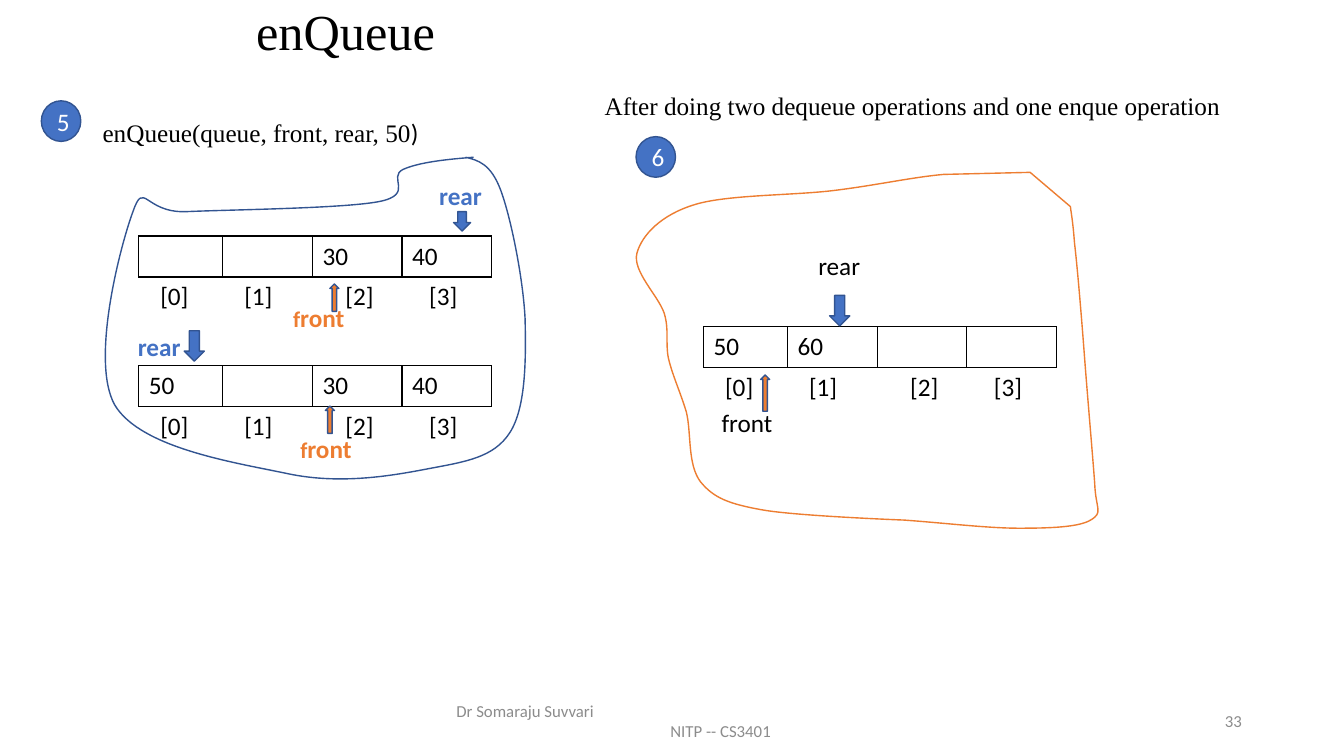
from dataclasses import dataclass

from lxml.etree import SubElement
from pptx import Presentation
from pptx.dml.color import RGBColor
from pptx.enum.shapes import MSO_SHAPE as SHAPE
from pptx.enum.text import MSO_ANCHOR as ANCHOR, MSO_AUTO_SIZE as AUTO, PP_ALIGN as ALIGN
from pptx.oxml.ns import qn
from pptx.util import Pt

BLACK, WHITE = RGBColor(0x00, 0x00, 0x00), RGBColor(0xFF, 0xFF, 0xFF)
BLUE, NAVY = RGBColor(0x44, 0x72, 0xC4), RGBColor(0x32, 0x54, 0x91)
ORANGE, GRAY = RGBColor(0xED, 0x7D, 0x31), RGBColor(0x8C, 0x8C, 0x8C)
SERIF, SANS = "Times New Roman", "Calibri"
NO_STYLE = "{2D5ABB26-0587-4C30-8999-92F81FD0307C}"
COL_WIDTHS, ROW_HEIGHT = (60, 64, 64, 64), 29.2
INDEX_MARGINS = (15.3, 15.3, 23.5, 19.4)

@dataclass
class Run:
    text: str
    size: float = 18
    font: str = SANS
    color: RGBColor = BLACK
    bold: bool = False

@dataclass
class Label:
    left: float
    top: float
    width: float
    runs: list[Run]
    align: ALIGN = ALIGN.LEFT
    anchor: ANCHOR = ANCHOR.TOP
    hanging: float = 0

@dataclass
class Marker:
    kind: SHAPE
    box: tuple[float, ...]
    fill: RGBColor
    text: str = ""

@dataclass
class Queue:
    left: float
    top: float
    values: tuple[str, ...]

@dataclass
class Outline:
    """Straight points first, then curves of two handles and an end point."""
    box: tuple[float, ...]
    points: list[tuple]
    curves: list[tuple]
    line: RGBColor
    fill: RGBColor | None = None

def rear(left: float, top: float) -> Label:
    return Label(left, top, 69, [Run("rear", color=BLUE, bold=True)])

def front(left: float, top: float, width: float) -> Label:
    return Label(left, top, width, [Run("f", 16, SANS, ORANGE, True),
                                    Run("ront", 18, SANS, ORANGE, True)])

OUTLINES = [
    Outline((454.3, 123.1, 329.8, 253.4), [(764.6, 147.6), (735.8, 123.1), (673.9, 124.6)], [
        (650.9, 126.7, 625, 132.5, 595.4, 136.1), (565.9, 139.7, 519.1, 139, 496.1, 146.2),
        (472.3, 153.4, 458.6, 167.8, 455, 180.7), (451.4, 193.7, 470.2, 211, 474.5, 223.9),
        (478.1, 236.2, 475.2, 244.1, 477.4, 255.6), (480.2, 267.8, 486, 280.1, 490.3, 294.5),
        (493.9, 309.6, 491, 331.9, 500.4, 344.2), (509.8, 355.7, 520.6, 360, 545, 364.3),
        (569.5, 368.6, 645.8, 371.5, 645.8, 371.5), (676.1, 373.7, 705.6, 377.3, 727.9, 377.3),
        (750.2, 377.3, 770.4, 376.6, 779, 371.5), (788.4, 365.8, 782.6, 364.3, 781.9, 344.9),
        (780.5, 325.4, 776.9, 284.4, 774.7, 255.6), (772.6, 227.5, 769.7, 192.2, 767.5, 173.5),
        (766.1, 154.8, 764.6, 149.8, 764.6, 147.6)], ORANGE, WHITE),
    Outline((74.9, 112.3, 300.2, 229.7), [(338.4, 112.3)], [
        (319, 113.8, 299.5, 115.9, 288, 121), (276.5, 126.7, 296.6, 139, 270.7, 144),
        (244.8, 149, 162, 149.8, 132.5, 151.2), (103, 151.9, 103, 128.2, 95, 151.2),
        (86.4, 174.2, 64.1, 257.8, 82.1, 289.4), (100.8, 320.4, 168.5, 330.5, 205.9, 338.4),
        (243.4, 346.3, 280.1, 339.8, 306, 334.8), (332.6, 329.8, 352.8, 326.9, 364.3, 308.9),
        (375.8, 290.9, 375.8, 256.3, 375.1, 227.5), (373.7, 198.7, 365, 155.5, 357.8, 136.1),
        (350.6, 116.6, 341.3, 114.5, 332.6, 112.3)], NAVY)]
QUEUES = [Queue(502.6, 233.3, ("50", "60", "", "")),
          Queue(99.2, 168.6, ("", "", "30", "40")),
          Queue(99.2, 261.2, ("50", "", "30", "40"))]
MARKERS = [
    Marker(SHAPE.UP_ARROW, (543.3, 267.8, 6.5, 26), ORANGE),
    Marker(SHAPE.DOWN_ARROW, (592.6, 211, 14.4, 21.8), BLUE),
    Marker(SHAPE.UP_ARROW, (235.6, 202.8, 6.5, 19.6), ORANGE),
    Marker(SHAPE.DOWN_ARROW, (324, 151.2, 12.2, 13.9), BLUE),
    Marker(SHAPE.UP_ARROW, (232.4, 290, 6.5, 19.6), ORANGE),
    Marker(SHAPE.DOWN_ARROW, (131.6, 236.2, 14.4, 21.8), BLUE),
    Marker(SHAPE.FLOWCHART_CONNECTOR, (29.5, 72, 28.2, 29), BLUE, "5"),
    Marker(SHAPE.FLOWCHART_CONNECTOR, (454.3, 97.6, 28.2, 29), BLUE, "6")]
LABELS = [
    rear(306.6, 125.3), front(202.3, 212.4, 80), rear(91.4, 233.3), front(207.4, 306, 56.2),
    Label(508.3, 287.3, 58.3, [Run("front")]),
    Label(577.4, 175.4, 58.3, [Run("rear")]),
    Label(66.2, 80.6, 317.5, [Run("enQueue(queue, front, rear, 50", font=SERIF), Run(")")]),
    Label(424.8, 61.2, 503.3,
          [Run("After doing two dequeue operations and one enque operation", font=SERIF)]),
    # Footer and slide number
    Label(318.9, 500.4, 324, [Run("Dr Somaraju Suvvari", 12, color=GRAY),
                              Run("NITP -- CS3401", 12, color=GRAY)],
          anchor=ANCHOR.MIDDLE, hanging=152.9),
    Label(678.2, 500.4, 216, [Run("33", 12, color=GRAY)], ALIGN.RIGHT, ANCHOR.MIDDLE)]

def write(p, runs: list[Run], align: ALIGN = ALIGN.LEFT, hanging: float = 0) -> None:
    p.alignment = align
    for i, run in enumerate(runs):
        if hanging and i:
            p.add_line_break()
            SubElement(p._p.find(qn("a:br")), qn("a:rPr"), sz=str(run.size * 100))
        r = p.add_run()
        r.text = run.text
        for name, value in {"size": Pt(run.size), "name": run.font, "bold": run.bold}.items():
            setattr(r.font, name, value)
        r.font.color.rgb = run.color
    if hanging:
        p._p.get_or_add_pPr().set("marL", str(Pt(hanging)))
        p._p.get_or_add_pPr().set("indent", str(-Pt(hanging)))

def add_label(s, label: Label) -> None:
    tf = s.shapes.add_textbox(Pt(label.left), Pt(label.top), Pt(label.width), Pt(29)).text_frame
    for name, value in {"word_wrap": True, "vertical_anchor": label.anchor}.items():
        setattr(tf, name, value)
    write(tf.paragraphs[0], label.runs, label.align, label.hanging)

def paint(sp, fill: RGBColor | None, line: RGBColor) -> None:
    sp.shadow.inherit = False
    if fill is None:
        sp.fill.background()
    else:
        sp.fill.solid()
        sp.fill.fore_color.rgb = fill
    sp.line.color.rgb, sp.line.width = line, Pt(1)

def add_marker(s, m: Marker) -> None:
    sp = s.shapes.add_shape(m.kind, *map(Pt, m.box))
    paint(sp, m.fill, NAVY)
    if m.text:
        sp.text_frame.vertical_anchor = ANCHOR.MIDDLE
        write(sp.text_frame.paragraphs[0], [Run(m.text, color=WHITE)], ALIGN.CENTER)

def add_outline(s, o: Outline) -> None:
    left, top, width, height = map(Pt, o.box)
    builder = s.shapes.build_freeform(left, top)
    builder.add_line_segments([(left + width, top + height)], close=False)
    sp = builder.convert_to_shape()
    paint(sp, o.fill, o.line)
    # Real curves take the place of the diagonal that spans the box
    route = next(sp._element.iter(qn("a:path")))
    for step in list(route):
        route.remove(step)
    steps = [("moveTo" if i == 0 else "lnTo", xy) for i, xy in enumerate(o.points)]
    for tag, xy in steps + [("cubicBezTo", curve) for curve in o.curves]:
        node = SubElement(route, qn(f"a:{tag}"))
        for x, y in zip(xy[::2], xy[1::2]):
            SubElement(node, qn("a:pt"), x=str(Pt(x) - left), y=str(Pt(y) - top))
    if o.fill is not None:
        SubElement(route, qn("a:close"))

def set_borders(cell, sides: str) -> None:
    for side in sides:
        ln = SubElement(cell._tc.get_or_add_tcPr(), qn(f"a:ln{side}"), w=str(Pt(1)))
        SubElement(SubElement(ln, qn("a:solidFill")), qn("a:srgbClr"), val=str(BLACK))

def add_queue(s, q: Queue) -> None:
    table = s.shapes.add_table(2, len(COL_WIDTHS), Pt(q.left), Pt(q.top),
                               Pt(sum(COL_WIDTHS)), Pt(2 * ROW_HEIGHT)).table
    table._tbl.tblPr.find(qn("a:tableStyleId")).text = NO_STYLE
    table.first_row = table.horz_banding = False
    for i, width in enumerate(COL_WIDTHS):
        table.columns[i].width = Pt(width)
        for row, text, sides in ((0, q.values[i], "LRTB"), (1, f"[{i}]", "T")):
            cell = table.cell(row, i)
            set_borders(cell, sides)
            cell.fill.background()
            write(cell.text_frame.paragraphs[0], [Run(text)] if text else [])
        table.cell(1, i).margin_left = Pt(INDEX_MARGINS[i])

def main() -> None:
    prs = Presentation()
    prs.slide_width, prs.slide_height = Pt(960), Pt(540)
    s = prs.slides.add_slide(prs.slide_layouts[5])
    # Title
    title, tf = s.shapes.title, s.shapes.title.text_frame
    for name, value in {"left": 175.7, "top": 4.3, "width": 157, "height": 39.6}.items():
        setattr(title, name, Pt(value))
    tf.auto_size, tf.vertical_anchor = AUTO.NONE, ANCHOR.MIDDLE
    tf.paragraphs[0].line_spacing = 0.9
    write(tf.paragraphs[0], [Run("enQueue", 36, SERIF)])
    # Queue states with their outlines, pointers and captions
    for draw, items in ((add_outline, OUTLINES), (add_queue, QUEUES),
                        (add_marker, MARKERS), (add_label, LABELS)):
        for item in items:
            draw(s, item)
    prs.save("out.pptx")

if __name__ == "__main__":
    main()
